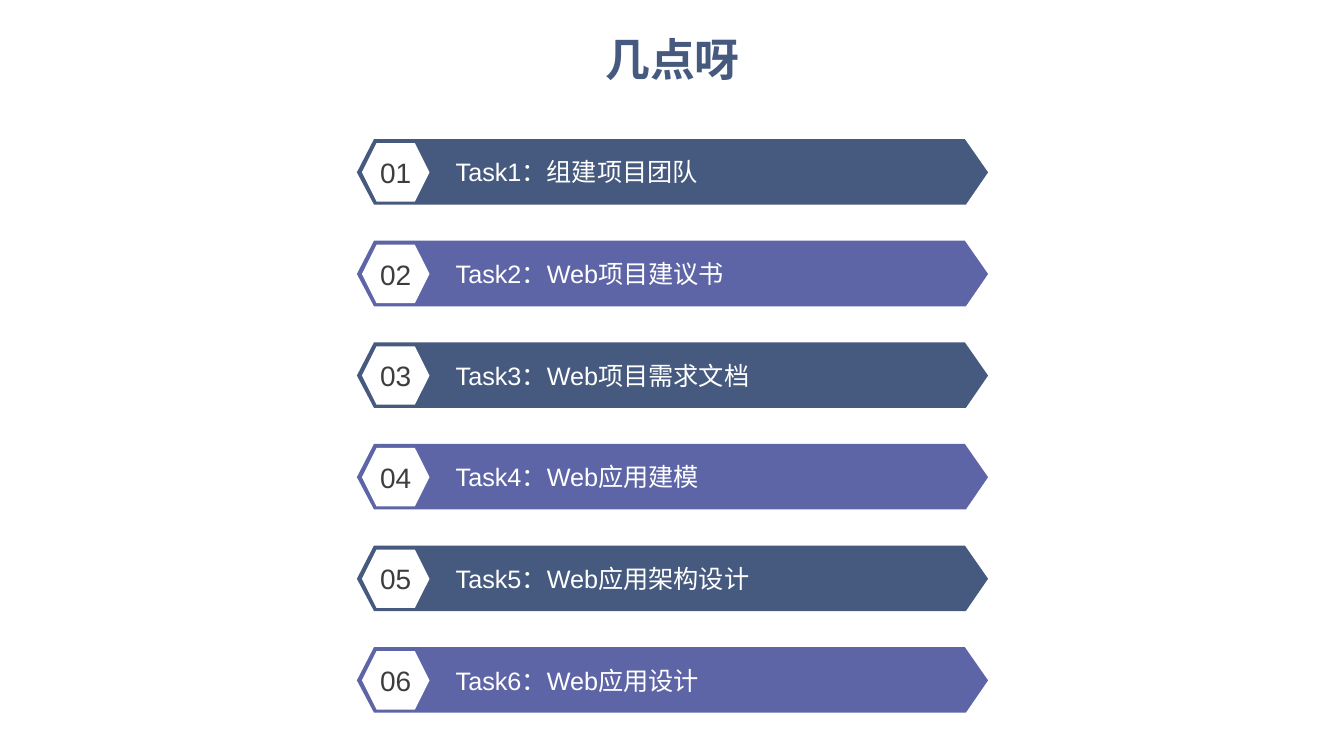
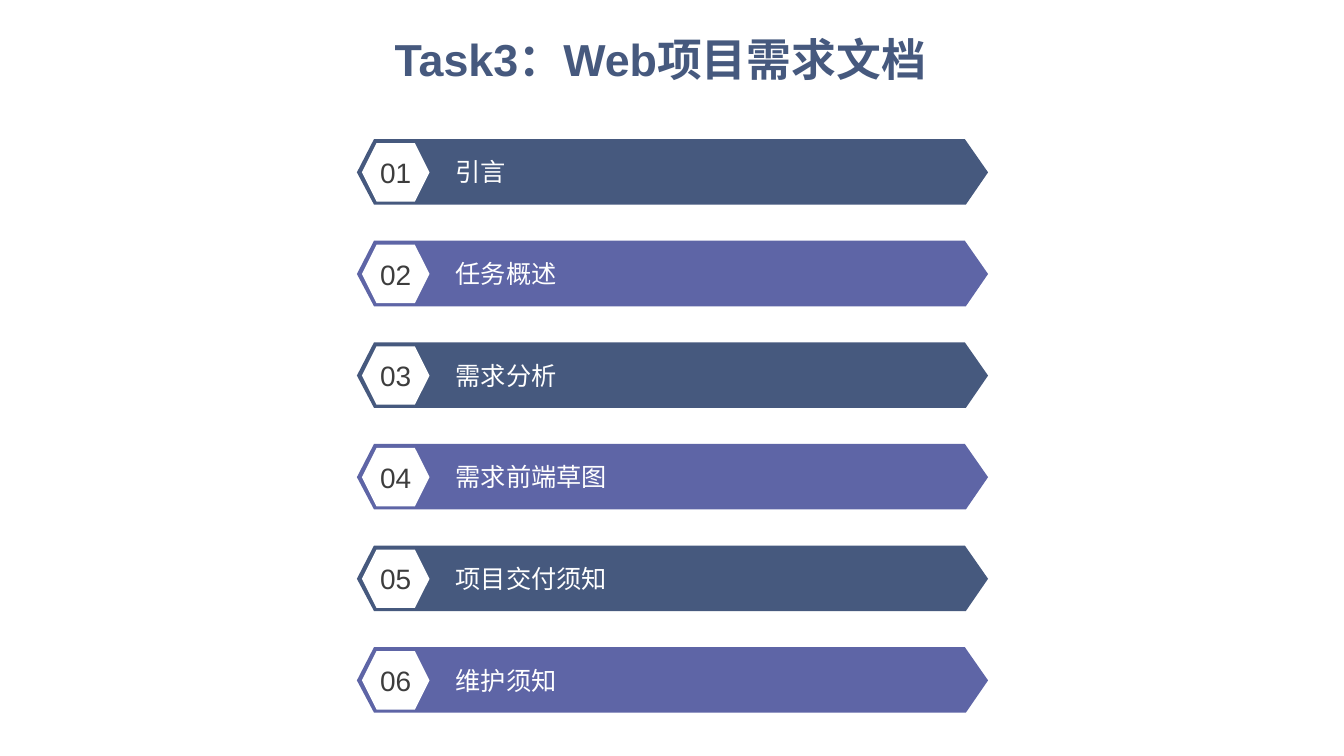
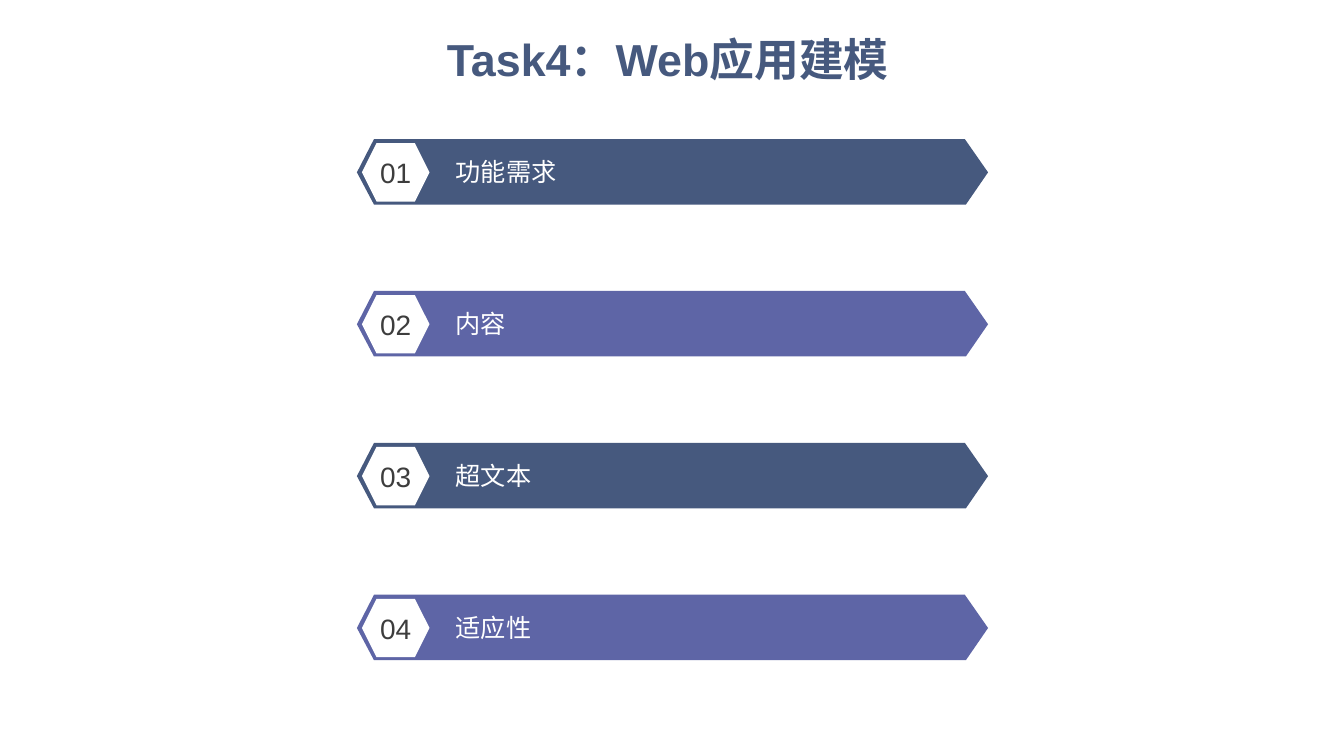
from dataclasses import dataclass

from pptx import Presentation
from pptx.dml.color import RGBColor as RGB
from pptx.enum.lang import MSO_LANGUAGE_ID as Lang
from pptx.enum.shapes import MSO_SHAPE as Shape
from pptx.enum.text import MSO_ANCHOR as Anchor, PP_ALIGN as Align
from pptx.util import Inches, Pt


@dataclass(frozen=True)
class Theme:
    navy: str = "46597E"
    violet: str = "5E65A6"
    white: str = "FFFFFF"
    dark: str = "3D3D3D"
    face: str = "Arial"
    title: int = 32
    label: int = 18
    badge: int = 20


THEME = Theme()
LEFT, TOP = 3.54, 1.38
WIDTH, HEIGHT = 6.26, 0.65
# Corners of a bar, measured from its top left
BAR = [(0.17, 0), (6.03, 0), (WIDTH, 0.33), (6.04, HEIGHT), (0.17, HEIGHT), (0, 0.33)]

# Title, title left, title width, top of the last bar, labels
SLIDES = [
    ("几点呀", 3.54, 6.26, 6.42, [
        "Task1：组建项目团队",
        "Task2：Web项目建议书",
        "Task3：Web项目需求文档",
        "Task4：Web应用建模",
        "Task5：Web应用架构设计",
        "Task6：Web应用设计",
    ]),
    ("Task3：Web项目需求文档", 2.84, 7.42, 6.42, [
        "引言", "任务概述", "需求分析", "需求前端草图", "项目交付须知", "维护须知",
    ]),
    ("Task4：Web应用建模", 3.91, 5.43, 5.9, [
        "功能需求", "内容", "超文本", "适应性",
    ]),
]


def apply(item, form):
    for key, value in form.items():
        setattr(item, key, value)


def write(shape, text, size, color, pad, align=Align.CENTER, anchor=Anchor.MIDDLE, bold=False):
    """Fill a shape with one paragraph; pad is left, top, right, bottom."""
    frame = shape.text_frame
    sides = ("margin_left", "margin_top", "margin_right", "margin_bottom")
    apply(frame, dict(zip(sides, map(Inches, pad)), word_wrap=True, vertical_anchor=anchor))
    para = frame.paragraphs[0]
    para.alignment = align
    run = para.add_run()
    run.text = text
    apply(run.font, {"name": THEME.face, "size": Pt(size), "bold": bold,
                     "language_id": Lang.SIMPLIFIED_CHINESE})
    run.font.color.rgb = RGB.from_string(color)
    return para


def paint(shape, color):
    shape.shadow.inherit = False
    shape.fill.solid()
    shape.fill.fore_color.rgb = RGB.from_string(color)
    shape.line.fill.background()


def add_title(slide, text, left, width):
    box = slide.shapes.add_textbox(*map(Inches, (left, 0.33, width, 0.64)))
    para = write(box, text, THEME.title, THEME.navy, (0.1, 0.05, 0.1, 0.05),
                 anchor=Anchor.TOP, bold=True)
    para.line_spacing = 0.9


def add_bar(slide, top, text, color):
    first, *rest = [(Inches(LEFT + x), Inches(top + y)) for x, y in BAR]
    path = slide.shapes.build_freeform(*first)
    path.add_line_segments(rest, close=True)
    bar = path.convert_to_shape()
    paint(bar, color)
    write(bar, text, THEME.label, THEME.white, (0.98, 0.05, 0.1, 0.05), Align.LEFT)


def add_badge(slide, top, text):
    spot = map(Inches, (LEFT + 0.05, top + 0.04, 0.67, 0.58))
    badge = slide.shapes.add_shape(Shape.HEXAGON, *spot)
    paint(badge, THEME.white)
    write(badge, text, THEME.badge, THEME.dark, (0, 0, 0, 0))


def add_list(slide, labels, last):
    """Spread numbered bars evenly from TOP down to last."""
    step = (last - TOP) / (len(labels) - 1)
    for row, label in enumerate(labels):
        top = TOP + row * step
        add_bar(slide, top, label, (THEME.navy, THEME.violet)[row % 2])
        add_badge(slide, top, f"{row + 1:02}")


def main():
    deck = Presentation()
    apply(deck, {"slide_width": Inches(13.33), "slide_height": Inches(7.5)})
    for title, left, width, last, labels in SLIDES:
        slide = deck.slides.add_slide(deck.slide_layouts[6])
        add_title(slide, title, left, width)
        add_list(slide, labels, last)
    deck.save("out.pptx")


if __name__ == "__main__":
    main()
